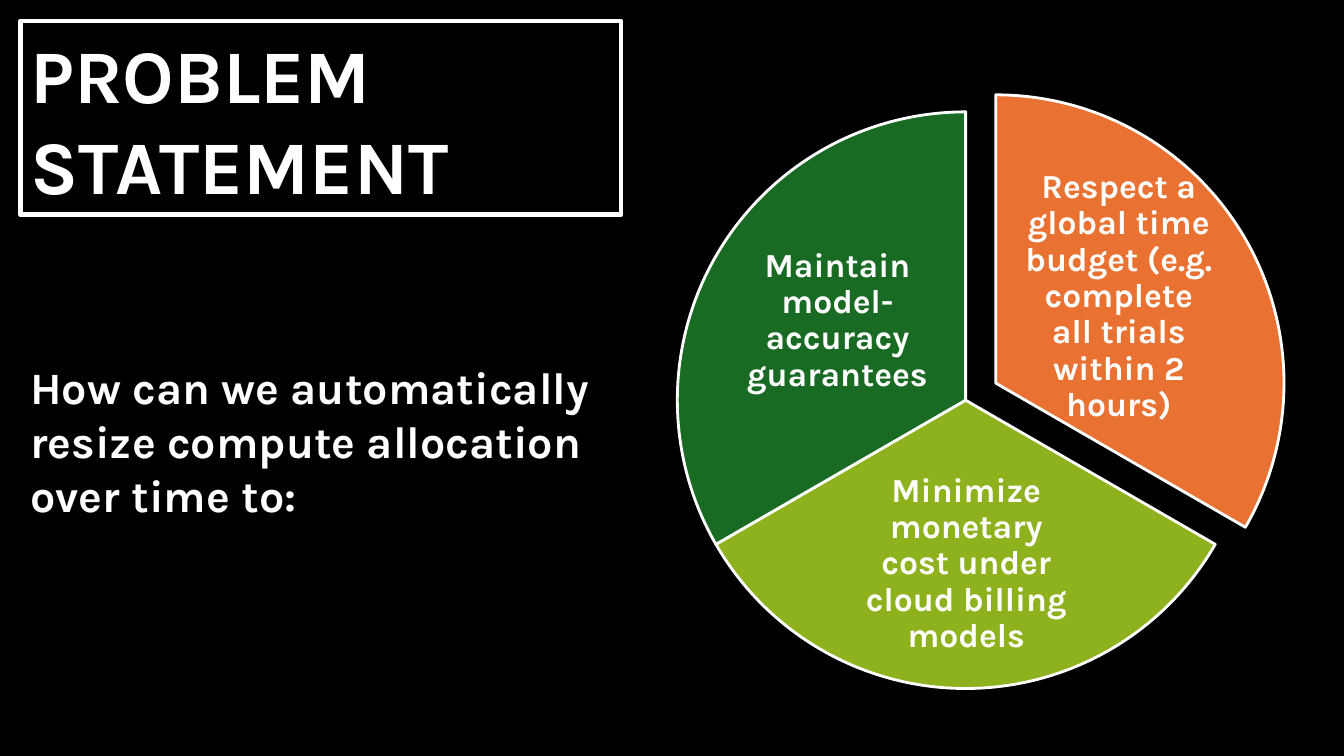
from dataclasses import dataclass

from lxml import etree
from pptx import Presentation
from pptx.dml.color import RGBColor
from pptx.enum.shapes import MSO_SHAPE
from pptx.enum.text import MSO_ANCHOR, MSO_AUTO_SIZE, PP_ALIGN
from pptx.oxml.ns import qn
from pptx.util import Cm, Pt

PIE = MSO_SHAPE.PIE
LEFT, CENTER = PP_ALIGN.LEFT, PP_ALIGN.CENTER
MIDDLE, BOTTOM = MSO_ANCHOR.MIDDLE, MSO_ANCHOR.BOTTOM
NO_AUTOFIT = MSO_AUTO_SIZE.NONE
TITLE_AND_CONTENT = 1
HARD_SPACE = chr(160)


@dataclass(frozen=True)
class Theme:
    font: str = "Karla"
    background: str = "000000"
    ink: str = "FFFFFF"
    orange: str = "E97132"
    lime: str = "8EB21E"
    green: str = "196B24"
    title_size: float = 54
    question_size: float = 32
    label_size: float = 24
    frame_width: float = 3.5
    slice_width: float = 2


THEME = Theme()
PIE_LEFT, PIE_TOP, PIE_SIZE = 17.07, 2.82, 14.53
PULL_RIGHT, PULL_UP = 0.76, 0.43
FIRST_ANGLE = 270

# Label, colour, label box, and whether the slice is pulled out
GOALS = [
    (f"Respect a global time budget{HARD_SPACE}(e.g. complete all trials within 2 hours)",
     THEME.orange, (25.73, 5.05, 4.93, 4.85), True),
    (f"Minimize monetary cost{HARD_SPACE}under cloud billing models",
     THEME.lime, (21.06, 11.96, 6.58, 4.5), False),
    ("Maintain model-accuracy guarantees",
     THEME.green, (18.64, 5.66, 4.93, 4.85), False),
]


def color(value):
    return RGBColor.from_string(value)


def place(shape, frame):
    shape.left, shape.top, shape.width, shape.height = map(Cm, frame)


def write(box, text, *, size, align=LEFT, anchor=MIDDLE, spacing=1.0, inset=None):
    frame = box.text_frame
    frame.text = text
    frame.word_wrap = True
    frame.auto_size = NO_AUTOFIT
    frame.vertical_anchor = anchor
    if inset is not None:
        frame.margin_left = frame.margin_right = Cm(inset)
        frame.margin_top = frame.margin_bottom = Cm(inset)
    para = frame.paragraphs[0]
    para.alignment = align
    para.line_spacing = spacing
    para.space_before = Pt(0)
    font = para.runs[0].font
    font.name, font.size, font.bold = THEME.font, Pt(size), True
    font.color.rgb = color(THEME.ink)


class SlideBuilder:
    def __init__(self, slide, theme):
        self.slide = slide
        self.theme = theme
        fill = slide.background.fill
        fill.solid()
        fill.fore_color.rgb = color(theme.background)

    def outline(self, shape, width):
        shape.line.color.rgb = color(self.theme.ink)
        shape.line.width = Pt(width)

    def title(self, text, frame):
        box = self.slide.shapes.title
        place(box, frame)
        write(box, text, size=self.theme.title_size, anchor=BOTTOM)
        self.outline(box, self.theme.frame_width)

    def question(self, text, frame):
        box = self.slide.placeholders[1]
        place(box, frame)
        write(box, text, size=self.theme.question_size, anchor=BOTTOM)
        properties = box.text_frame.paragraphs[0]._p.get_or_add_pPr()
        properties.set("marL", "0")
        properties.set("indent", "0")
        etree.SubElement(properties, qn("a:buNone"))

    def pie(self, goals):
        group = self.slide.shapes.add_group_shape()
        sweep = 360 / len(goals)
        for index, (text, fill, label_frame, pulled) in enumerate(goals):
            left = PIE_LEFT + PULL_RIGHT * pulled
            top = PIE_TOP - PULL_UP * pulled
            self.pie_slice(group, (left, top, PIE_SIZE, PIE_SIZE),
                           FIRST_ANGLE + index * sweep, sweep, fill)
            label = group.shapes.add_textbox(*map(Cm, label_frame))
            write(label, text, size=self.theme.label_size, align=CENTER,
                  spacing=0.9, inset=0.08)

    def pie_slice(self, group, frame, start, sweep, fill):
        """Draw a slice clockwise from start, with angles in degrees."""
        piece = group.shapes.add_shape(PIE, *map(Cm, frame))
        piece.shadow.inherit = False
        # Angles are stored in 60000ths of a degree, adjustments in 100000ths
        piece.adjustments[0] = start % 360 * 0.6
        piece.adjustments[1] = (start + sweep) % 360 * 0.6
        piece.fill.solid()
        piece.fill.fore_color.rgb = color(fill)
        self.outline(piece, self.theme.slice_width)


def main():
    deck = Presentation()
    deck.slide_width, deck.slide_height = Cm(33.87), Cm(19.05)
    page = deck.slides.add_slide(deck.slide_layouts[TITLE_AND_CONTENT])
    builder = SlideBuilder(page, THEME)
    builder.pie(GOALS)
    builder.question(
        "How can we automatically resize compute allocation over time to:",
        (0.51, 4.8, 16.43, 8.46))
    builder.title("PROBLEM STATEMENT", (0.51, 0.53, 15.14, 4.88))
    deck.save("out.pptx")


if __name__ == "__main__":
    main()
